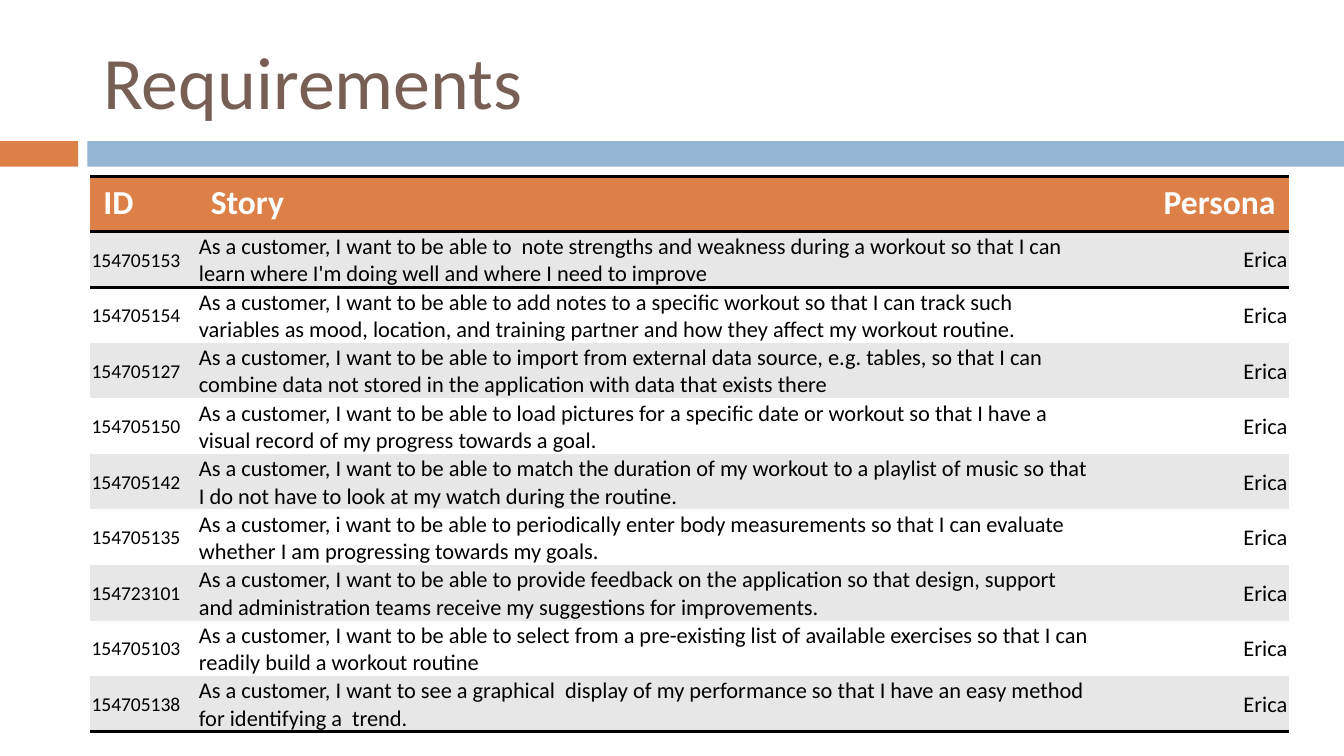
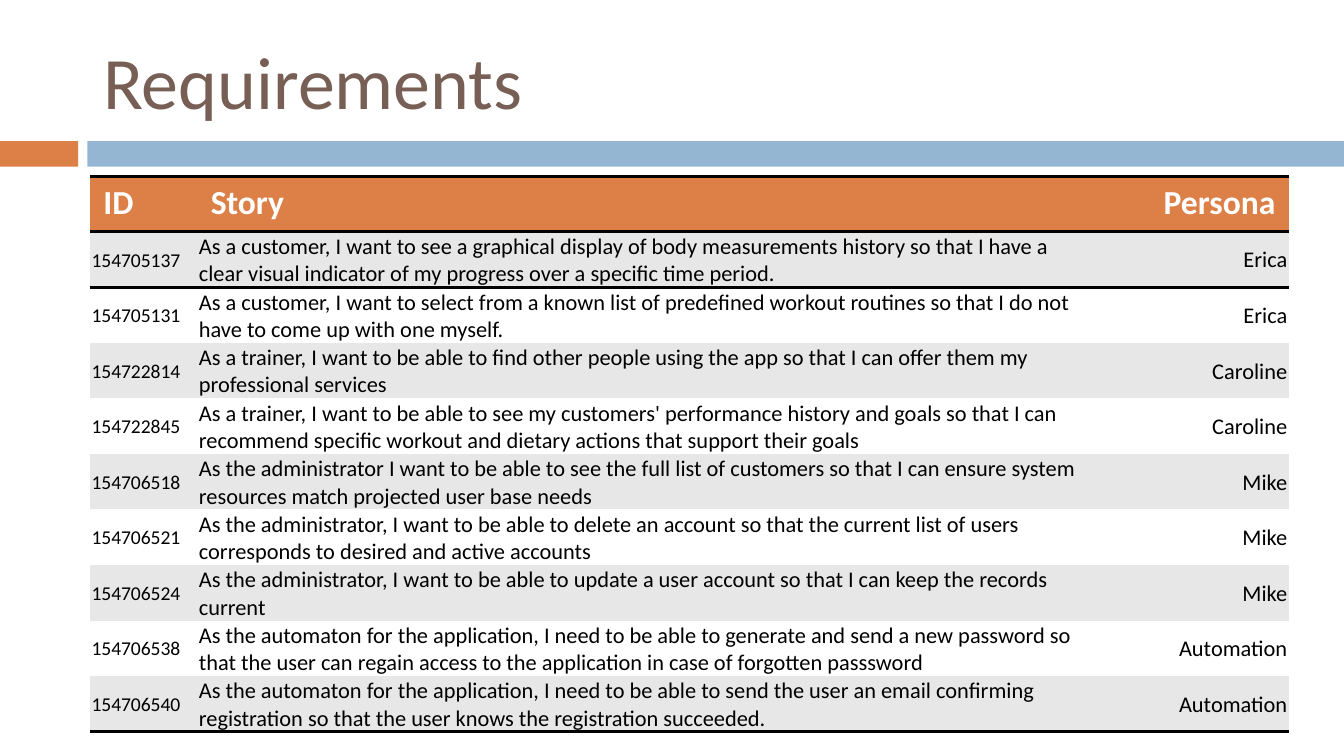
from lxml.etree import SubElement
from pptx import Presentation
from pptx.dml.color import RGBColor
from pptx.enum.shapes import MSO_SHAPE as Shape
from pptx.enum.text import MSO_ANCHOR as Anchor, PP_ALIGN as Align
from pptx.oxml.ns import qn
from pptx.util import Cm, Pt

ORANGE, BLUE, BROWN = "DD8047", "94B6D2", "775F55"
GREY, WHITE, BLACK = "E7E7E7", "FFFFFF", "000000"
FONT = "Calibri"
PLAIN = "{2D5ABB26-0587-4C30-8999-92F81FD0307C}"  # table style without grid

BANDS = [(0, 1.48, ORANGE), (1.65, 23.75, BLUE)]
WIDTHS = [2.03, 16.97, 3.66]
ALIGNS = [Align.LEFT, Align.LEFT, Align.RIGHT]
SIZES = [10.5, 12, 12]
HEAD = ("ID", "Story", "Persona")

PAGES = [
    [
        ("154705153", "As a customer, I want to be able to  note strengths and weakness during a workout "
         "so that I can learn where I'm doing well and where I need to improve", "Erica"),
        ("154705154", "As a customer, I want to be able to add notes to a specific workout so that I can track "
         "such variables as mood, location, and training partner and how they affect my workout routine.", "Erica"),
        ("154705127", "As a customer, I want to be able to import from external data source, e.g. tables, "
         "so that I can combine data not stored in the application with data that exists there", "Erica"),
        ("154705150", "As a customer, I want to be able to load pictures for a specific date or workout "
         "so that I have a visual record of my progress towards a goal.", "Erica"),
        ("154705142", "As a customer, I want to be able to match the duration of my workout to a playlist of music "
         "so that I do not have to look at my watch during the routine.", "Erica"),
        ("154705135", "As a customer, i want to be able to periodically enter body measurements "
         "so that I can evaluate whether I am progressing towards my goals.", "Erica"),
        ("154723101", "As a customer, I want to be able to provide feedback on the application so that design, "
         "support and administration teams receive my suggestions for improvements.", "Erica"),
        ("154705103", "As a customer, I want to be able to select from a pre-existing list of available exercises "
         "so that I can readily build a workout routine", "Erica"),
        ("154705138", "As a customer, I want to see a graphical  display of my performance "
         "so that I have an easy method for identifying a  trend.", "Erica"),
    ],
    [
        ("154705137", "As a customer, I want to see a graphical display of body measurements history so that "
         "I have a clear visual indicator of my progress over a specific time period.", "Erica"),
        ("154705131", "As a customer, I want to select from a known list of predefined workout routines "
         "so that I do not have to come up with one myself.", "Erica"),
        ("154722814", "As a trainer, I want to be able to find other people using the app "
         "so that I can offer them my professional services", "Caroline"),
        ("154722845", "As a trainer, I want to be able to see my customers' performance history and goals so that "
         "I can recommend specific workout and dietary actions that support their goals", "Caroline"),
        ("154706518", "As the administrator I want to be able to see the full list of customers "
         "so that I can ensure system resources match projected user base needs", "Mike"),
        ("154706521", "As the administrator, I want to be able to delete an account "
         "so that the current list of users corresponds to desired and active accounts", "Mike"),
        ("154706524", "As the administrator, I want to be able to update a user account "
         "so that I can keep the records current", "Mike"),
        ("154706538", "As the automaton for the application, I need to be able to generate and send a new password "
         "so that the user can regain access to the application in case of forgotten passsword", "Automation"),
        ("154706540", "As the automaton for the application, I need to be able to send the user an email "
         "confirming registration so that the user knows the registration succeeded.", "Automation"),
    ],
]


def paint(item, color):
    """Give a fill or a font one solid colour."""
    if hasattr(item, "solid"):
        item.solid()
        item = item.fore_color
    else:
        item = item.color
    item.rgb = RGBColor.from_string(color)


def rule(cell, *sides):
    """Draw black 2 pt borders; call before the cell is filled."""
    props = cell._tc.get_or_add_tcPr()
    for side in sides:
        line = SubElement(props, qn("a:" + side), w=str(Pt(2)))
        fill = SubElement(line, qn("a:solidFill"))
        SubElement(fill, qn("a:srgbClr"), val=BLACK)


deck = Presentation()
deck.slide_width, deck.slide_height = Cm(25.4), Cm(14.29)

for page in PAGES:
    slide = deck.slides.add_slide(deck.slide_layouts[6])

    for left, width, color in BANDS:
        band = slide.shapes.add_shape(Shape.RECTANGLE, Cm(left), Cm(2.67), Cm(width), Cm(0.48))
        band.shadow.inherit = False
        paint(band.fill, color)
        band.line.fill.background()

    title = slide.shapes.add_textbox(Cm(1.7), Cm(0.48), Cm(22.66), Cm(2.06)).text_frame
    title.word_wrap = True
    title.vertical_anchor = Anchor.MIDDLE
    title.text = "Requirements"
    font = title.paragraphs[0].runs[0].font
    font.name, font.size = FONT, Pt(39.6)
    paint(font, BROWN)

    rows = [HEAD, *page]
    table = slide.shapes.add_table(len(rows), len(HEAD), Cm(1.7), Cm(3.33),
                                   Cm(sum(WIDTHS)), Cm(1.05 * len(rows))).table
    table._tbl.tblPr.find(qn("a:tableStyleId")).text = PLAIN
    table.horz_banding = False
    for col, width in zip(table.columns, WIDTHS):
        col.width = Cm(width)

    for r, row in enumerate(rows):
        for c, text in enumerate(row):
            cell = table.cell(r, c)
            cell.text = text
            para = cell.text_frame.paragraphs[0]
            para.alignment = ALIGNS[c]
            font = para.runs[0].font
            font.name = FONT
            if r == 0:
                rule(cell, "lnT", "lnB")
                paint(cell.fill, ORANGE)
                font.size, font.bold = Pt(18), True
                paint(font, WHITE)
                continue
            if r == 1:
                rule(cell, "lnT")
            if r == len(page):
                rule(cell, "lnB")
            paint(cell.fill, GREY if r % 2 else WHITE)
            cell.vertical_anchor = Anchor.MIDDLE
            cell.margin_left = cell.margin_right = cell.margin_top = Cm(0.03)
            cell.margin_bottom = 0
            font.size, font.bold = Pt(SIZES[c]), False
            paint(font, BLACK)

deck.save("out.pptx")
